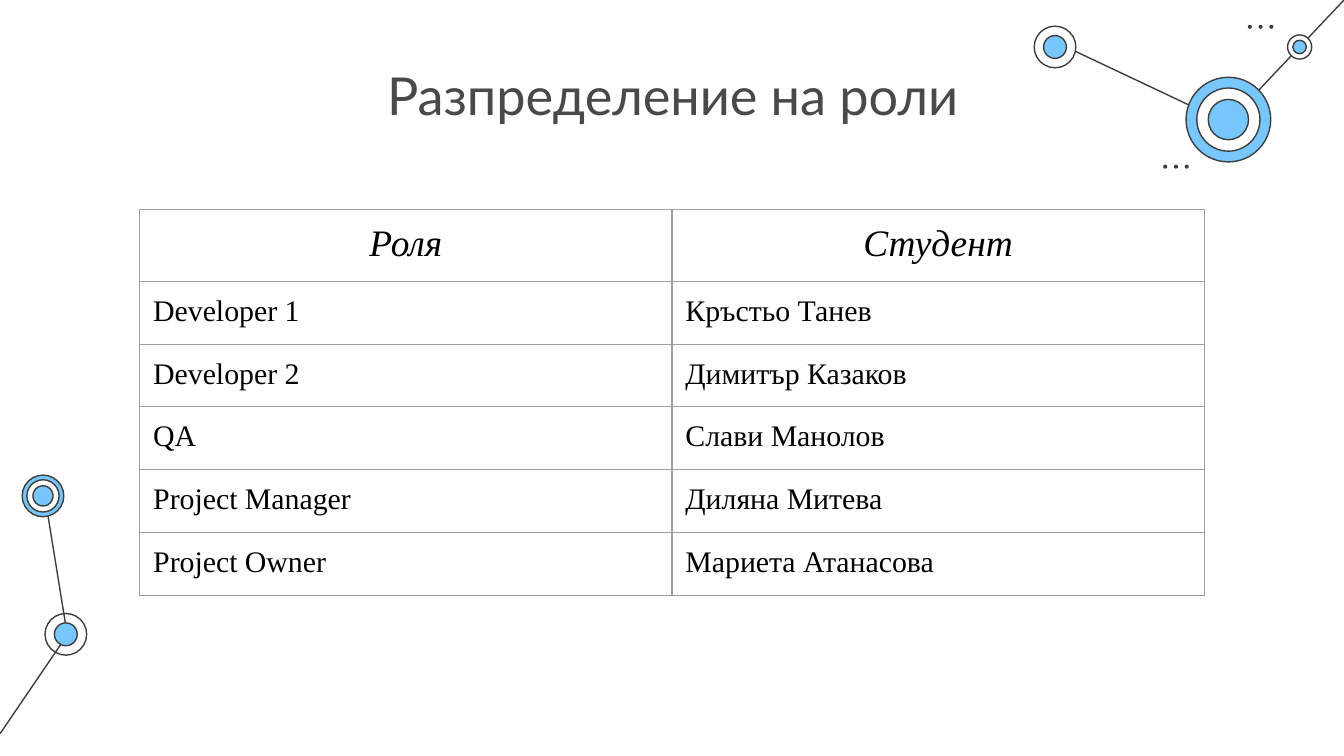
from dataclasses import dataclass

from lxml.etree import SubElement
from pptx import Presentation
from pptx.dml.color import RGBColor
from pptx.enum.shapes import MSO_CONNECTOR as Connector, MSO_SHAPE as Shape
from pptx.enum.text import MSO_ANCHOR as Anchor, PP_ALIGN as Align
from pptx.oxml.ns import qn
from pptx.util import Inches, Pt


@dataclass(frozen=True)
class Theme:
    ink: str = "3D3D3D"
    blue: str = "77C6FC"
    white: str = "FFFFFF"
    heading: str = "494949"
    body: str = "000000"
    border: str = "9E9E9E"
    title_font: str = "Lato"
    table_font: str = "Times New Roman"
    title_size: int = 28
    header_size: int = 20
    body_size: int = 16
    stroke: float = 0.75


class RoleSlide:
    def __init__(self, prs, theme):
        self.theme = theme
        self.slide = prs.slides.add_slide(prs.slide_layouts[6])
        self.shapes = self.slide.shapes
        self.slide.background.fill.solid()
        self.slide.background.fill.fore_color.rgb = RGBColor.from_string(theme.white)

    def style_text(self, paragraph, font, size, color, align=None, italic=False):
        paragraph.alignment = align
        paragraph.line_spacing = 1.0
        for run in paragraph.runs:
            run.font.size = Pt(size)
            run.font.italic = italic
            run.font.color.rgb = RGBColor.from_string(color)
            run.font.name = font
            for script in ("ea", "cs"):
                SubElement(run.font._element, qn(f"a:{script}"), typeface=font)

    def link(self, start, end):
        connector = self.shapes.add_connector(
            Connector.STRAIGHT, *(Inches(v) for v in (*start, *end)))
        connector.line.color.rgb = RGBColor.from_string(self.theme.ink)
        connector.line.width = Pt(self.theme.stroke)
        SubElement(connector._element.spPr, qn("a:effectLst"))

    def circle(self, center, diameter, color, outlined=True):
        left, top = (Inches(v - diameter / 2) for v in center)
        disc = self.shapes.add_shape(
            Shape.OVAL, left, top, Inches(diameter), Inches(diameter))
        disc.shadow.inherit = False
        if color:
            disc.fill.solid()
            disc.fill.fore_color.rgb = RGBColor.from_string(color)
        else:
            disc.fill.background()
        if outlined:
            disc.line.color.rgb = RGBColor.from_string(self.theme.ink)
            disc.line.width = Pt(self.theme.stroke)
        else:
            disc.line.fill.background()

    def node(self, center, *rings):
        """Draw concentric rings given as (diameter, color), outermost first."""
        for diameter, color in rings:
            self.circle(center, diameter, color)

    def dots(self, x, y, count=3, gap=0.08):
        for i in range(count):
            self.circle((x + i * gap, y), 0.03, self.theme.ink, outlined=False)

    def title(self, text, left, top, width, height):
        frame = self.shapes.add_textbox(
            *(Inches(v) for v in (left, top, width, height))).text_frame
        frame.word_wrap = True
        frame.vertical_anchor = Anchor.TOP
        frame.margin_left = frame.margin_right = Inches(0.1)
        frame.margin_top = frame.margin_bottom = Inches(0.1)
        frame.text = text
        self.style_text(frame.paragraphs[0], self.theme.title_font,
                        self.theme.title_size, self.theme.heading, Align.CENTER)

    def cell_borders(self, cell):
        properties = cell._tc.get_or_add_tcPr()
        for position, side in enumerate(("lnL", "lnR", "lnT", "lnB")):
            line = properties.makeelement(
                qn(f"a:{side}"), {"w": str(Pt(self.theme.stroke))})
            fill = SubElement(line, qn("a:solidFill"))
            SubElement(fill, qn("a:srgbClr"), val=self.theme.border)
            properties.insert(position, line)

    def table(self, rows, left, top, width, height, row_height):
        theme = self.theme
        holder = self.shapes.add_table(
            len(rows), len(rows[0]), Inches(left), Inches(top),
            Inches(width), Inches(row_height * len(rows)))
        holder.height = Inches(height)
        grid = holder.table
        grid.horz_banding = False
        grid.first_row = False
        for r, row in enumerate(rows):
            header = r == 0
            for c, text in enumerate(row):
                cell = grid.cell(r, c)
                cell.fill.background()
                cell.margin_left = cell.margin_right = Inches(0.1)
                cell.margin_top = cell.margin_bottom = Inches(0.1)
                cell.text = text
                self.style_text(
                    cell.text_frame.paragraphs[0], theme.table_font,
                    theme.header_size if header else theme.body_size, theme.body,
                    Align.CENTER if header else Align.LEFT, italic=header)
                self.cell_borders(cell)


ROLES = [
    ("Роля", "Студент"),
    ("Developer 1", "Кръстьо Танев"),
    ("Developer 2", "Димитър Казаков"),
    ("QA", "Слави Манолов"),
    ("Project Manager", "Диляна Митева"),
    ("Project Owner", "Мариета Атанасова"),
]


def main():
    prs = Presentation()
    prs.slide_width = Inches(10)
    prs.slide_height = prs.slide_width * 9 // 16
    theme = Theme()
    page = RoleSlide(prs, theme)
    blue, white = theme.blue, theme.white

    lower_node, upper_node = (0.49, 4.72), (0.32, 3.69)
    page.link((0.5, 4.72), (0.33, 3.67))
    page.link((0, 5.46), (0.49, 4.74))
    page.node(lower_node, (0.31, None), (0.17, blue))
    page.node(upper_node, (0.31, blue), (0.24, white), (0.15, blue))

    hub, left_node, right_node = (9.14, 0.89), (7.85, 0.35), (9.67, 0.35)
    page.link((9.14, 0.92), (7.87, 0.32))
    page.link((10, 0), (9.14, 0.91))
    page.node(hub, (0.63, blue), (0.47, white), (0.3, blue))
    page.node(left_node, (0.31, white), (0.17, blue))
    page.node(right_node, (0.18, white), (0.1, blue))
    page.dots(9.3, 0.2)
    page.dots(8.67, 1.24)

    page.title("Разпределение на роли", 2.77, 0.37, 4.47, 0.63)
    page.table(ROLES, 1.04, 1.56, 7.92, 2.87, 0.42)
    prs.save("out.pptx")


if __name__ == "__main__":
    main()
